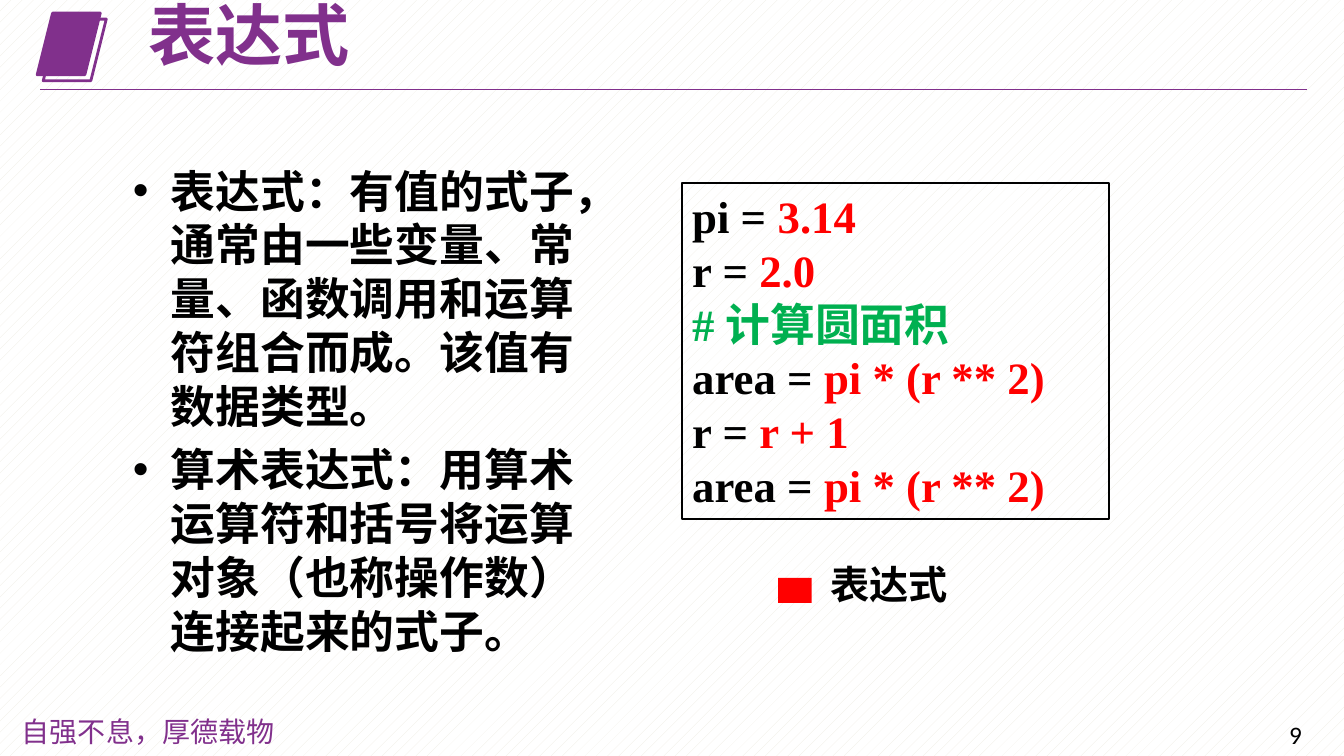
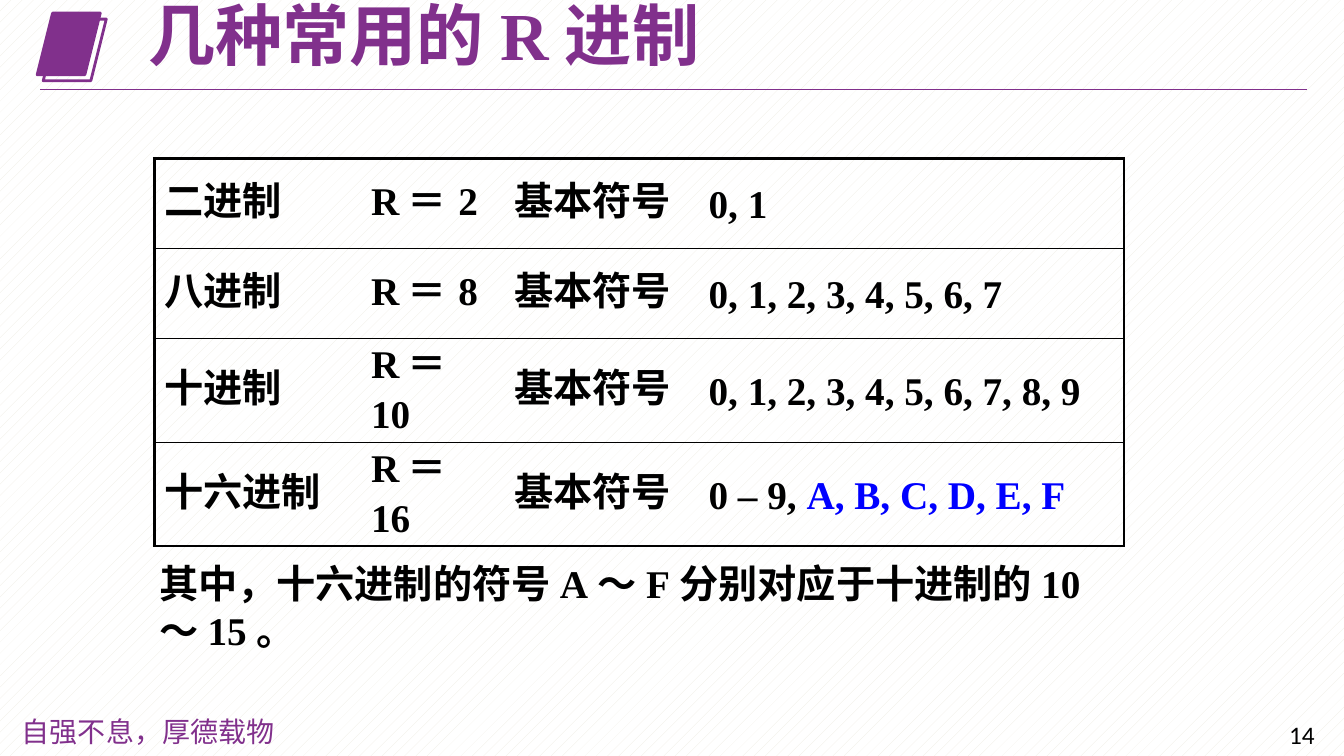
from lxml.etree import SubElement
from pptx import Presentation
from pptx.dml.color import RGBColor
from pptx.enum.dml import MSO_PATTERN
from pptx.enum.shapes import MSO_CONNECTOR, MSO_SHAPE
from pptx.enum.text import MSO_ANCHOR, PP_ALIGN
from pptx.oxml import parse_xml
from pptx.oxml.ns import nsdecls, qn
from pptx.util import Pt

PURPLE, BLACK, RED, GREEN, BLUE = "81308C", "000000", "FF0000", "00B050", "0000FF"
SANS, SERIF, TABLE_FONT = "Noto Sans CJK SC", "Times New Roman", "Karla"
FOOTER_FONT, NUMBER_FONT = "Noto Sans CJK JP", "Calibri"
MOTTO = "自强不息，厚德载物"


def color(value):
    return RGBColor.from_string(value)


def points(*values):
    return [Pt(value) for value in values]


def add_bullet(paragraph, indent):
    properties = paragraph._p.get_or_add_pPr()
    properties.set("marL", str(Pt(indent)))
    properties.set("indent", str(-Pt(indent)))
    SubElement(properties, qn("a:buFont")).set("typeface", "Arial")
    SubElement(properties, qn("a:buChar")).set("char", "•")


def write_text(frame, paragraphs, size=28, font=SANS, east_font=SANS, fill=BLACK, bold=True,
               align=PP_ALIGN.LEFT, anchor=MSO_ANCHOR.TOP, wrap=True, spacing=None,
               gap=0, bullet_indent=0):
    frame.word_wrap = wrap
    frame.vertical_anchor = anchor
    for index, runs in enumerate(paragraphs):
        paragraph = frame.paragraphs[0] if index == 0 else frame.add_paragraph()
        paragraph.alignment = align
        if spacing:
            paragraph.line_spacing = spacing
        paragraph.space_before = Pt(gap if index else 0)
        if bullet_indent:
            add_bullet(paragraph, bullet_indent)
        for text, *changes in [(runs,)] if isinstance(runs, str) else runs:
            look = {"font": font, "fill": fill, **(changes[0] if changes else {})}
            run = paragraph.add_run()
            run.text = text
            run.font.size = Pt(size)
            run.font.bold = bold
            run.font.color.rgb = color(look["fill"])
            run.font.name = look["font"]
            SubElement(run._r.get_or_add_rPr(), qn("a:ea")).set("typeface", east_font)


def add_text(slide, box, paragraphs, **style):
    shape = slide.shapes.add_textbox(*points(*box))
    write_text(shape.text_frame, paragraphs, **style)
    return shape


def add_block(slide, kind, box, fill=None, line=None, width=1):
    shape = slide.shapes.add_shape(kind, *points(*box))
    shape.shadow.inherit = False
    if fill:
        shape.fill.solid()
        shape.fill.fore_color.rgb = color(fill)
    else:
        shape.fill.background()
    if line:
        shape.line.color.rgb = color(line)
        shape.line.width = Pt(width)
    else:
        shape.line.fill.background()
    return shape


def add_emblem(slide, left, top, side=45, shift=4.3):
    for step, fill in enumerate((PURPLE, None)):
        box = (left + step * shift, top + step * shift, side, side - 1)
        add_block(slide, MSO_SHAPE.PARALLELOGRAM, box, fill, PURPLE, 2)


def add_rule(slide, left, right, top):
    rule = slide.shapes.add_connector(MSO_CONNECTOR.STRAIGHT, *points(left, top, right, top))
    rule.line.color.rgb = color(PURPLE)
    rule.line.width = Pt(0.75)
    SubElement(rule._element.spPr, qn("a:effectLst"))


def add_page(presentation, title, number):
    slide = presentation.slides.add_slide(presentation.slide_layouts[5])
    add_text(slide, (8.6, 507, 200, 31.5), [MOTTO], size=20, font=FOOTER_FONT,
             east_font=FOOTER_FONT, fill=PURPLE, bold=False)
    add_text(slide, (913.7, 510, 44, 29), [number], size=18, font=NUMBER_FONT, bold=False)
    add_emblem(slide, 26.6, 9.4)
    add_rule(slide, 28.8, 933.8, 64)
    heading = slide.shapes.title
    heading.left, heading.top, heading.width, heading.height = points(98.6, 3.6, 538.6, 48)
    write_text(heading.text_frame, [title], size=48, fill=PURPLE, spacing=0.9,
               anchor=MSO_ANCHOR.MIDDLE)
    return slide


def add_legend(slide, left, top, label):
    add_block(slide, MSO_SHAPE.RECTANGLE, (left, top + 16, 24, 18), RED)
    add_text(slide, (left + 30.2, top, 100, 41), [label], wrap=False)


def add_code(slide, box, lines):
    shape = add_block(slide, MSO_SHAPE.RECTANGLE, box, line=BLACK, width=1.25)
    write_text(shape.text_frame, lines, size=32, font=SERIF, spacing=Pt(38.5))


def set_borders(cell, widths):
    properties = cell._tc.get_or_add_tcPr()
    for index, (side, width) in enumerate(zip("LRTB", widths)):
        paint = f'<a:solidFill><a:srgbClr val="{BLACK}"/></a:solidFill>' if width else "<a:noFill/>"
        border = f'<a:ln{side} {nsdecls("a")} w="{Pt(width)}">{paint}</a:ln{side}>'
        properties.insert(index, parse_xml(border))


def add_radix_table(slide, left, top, columns, row_height, rows):
    table = slide.shapes.add_table(len(rows), len(columns), *points(
        left, top, sum(columns), row_height * len(rows))).table
    table.first_row = table.horz_banding = False
    for column, width in zip(table.columns, columns):
        column.width = Pt(width)
    last_row, last_column = len(rows) - 1, len(columns) - 1
    for row_index, (name, radix, symbols) in enumerate(rows):
        table.rows[row_index].height = Pt(row_height)
        for column_index, content in enumerate((name, f"R＝{radix}", "基本符号", symbols)):
            cell = table.cell(row_index, column_index)
            cell.fill.background()
            set_borders(cell, (2.25 if column_index == 0 else 0,
                               2.25 if column_index == last_column else 0,
                               2.25 if row_index == 0 else 1,
                               2.25 if row_index == last_row else 1))
            cell.vertical_anchor = MSO_ANCHOR.MIDDLE
            write_text(cell.text_frame, [content], font=SERIF if column_index % 2 else TABLE_FONT,
                       anchor=None, spacing=Pt(33.5))


def build_expression_slide(presentation):
    slide = add_page(presentation, "表达式", "9")
    add_text(slide, (87.8, 113, 360, 360), [
        "表达式：有值的式子，通常由一些变量、常量、函数调用和运算符组合而成。该值有数据类型。",
        "算术表达式：用算术运算符和括号将运算对象（也称操作数）连接起来的式子。",
    ], size=32, spacing=Pt(38.5), gap=6.4, bullet_indent=27)
    red, green = {"fill": RED}, {"fill": GREEN}
    area = [("area = ",), ("pi * (r ** 2)", red)]
    add_code(slide, (487.4, 131, 304.6, 239.8), [
        [("pi = ",), ("3.14", red)],
        [("r = ",), ("2.0", red)],
        [("#", green), ("计算圆面积", {"fill": GREEN, "font": SANS})],
        area,
        [("r = ",), ("r + 1", red)],
        area,
    ])
    add_legend(slide, 555.8, 396.7, "表达式")


def build_radix_slide(presentation):
    title = [("几种常用的",), ("R", {"font": SERIF}), ("进制",)]
    slide = add_page(presentation, title, "14")
    add_radix_table(slide, 110.2, 113, (147.6, 102.2, 139, 303.8), 64.3, [
        ("二进制", 2, "0, 1"),
        ("八进制", 8, "0, 1, 2, 3, 4, 5, 6, 7"),
        ("十进制", 10, "0, 1, 2, 3, 4, 5, 6, 7, 8, 9"),
        ("十六进制", 16, [("0 – 9, ",), ("A, B, C, D, E, F", {"fill": BLUE})]),
    ])
    add_text(slide, (106.6, 395.3, 705.6, 41), ["其中，十六进制的符号A～F分别对应于十进制的10～15。"],
             font=SERIF, spacing=Pt(34))


def main():
    presentation = Presentation()
    presentation.slide_width, presentation.slide_height = points(960, 540)
    background = presentation.slide_master.background.fill
    background.patterned()
    background.pattern = MSO_PATTERN.PERCENT_10
    background.fore_color.rgb = color("EEECE1")
    background.back_color.rgb = color("FFFFFF")
    build_expression_slide(presentation)
    build_radix_slide(presentation)
    presentation.save("out.pptx")


if __name__ == "__main__":
    main()
